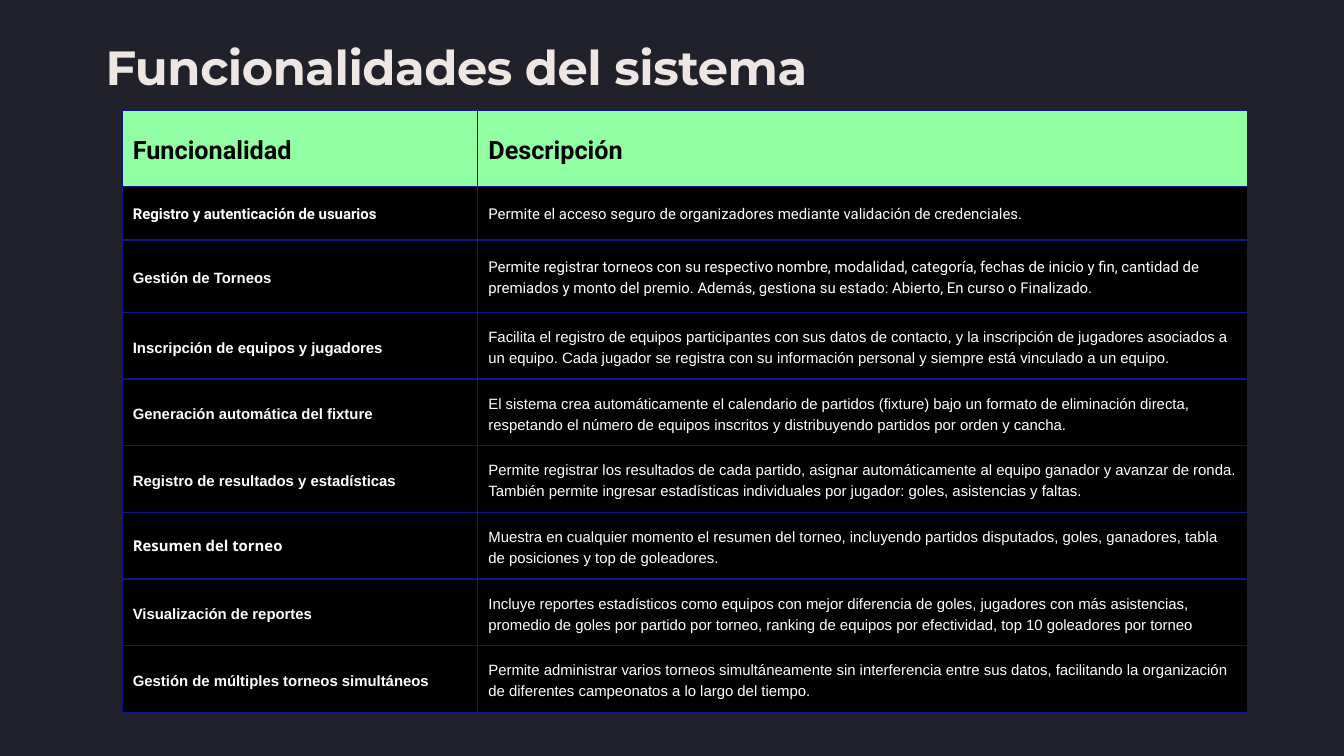
from pptx import Presentation
from pptx import util as u
from pptx.dml.color import RGBColor
from pptx.enum import text
from pptx.oxml import parse_xml
from pptx.oxml.ns import nsdecls

THEME = {
    "back": "20212A", "title": "EDE6E2", "line": "0E1789",
    "head": "93FFA5", "body": "000000", "dark": "000000", "light": "FFFFFF",
    "title_pt": 51.4, "head_pt": 27, "body_pt": 16, "line_pt": 1.5,
}
ROWS = [
    # name, name font, description, description font
    ("Funcionalidad", "Roboto", "Descripción", "Roboto"),
    ("Registro y autenticación de usuarios", "Roboto",
     "Permite el acceso seguro de organizadores mediante validación de credenciales.", "Roboto"),
    ("Gestión de Torneos", "Arial",
     "Permite registrar torneos con su respectivo nombre, modalidad, categoría, fechas de inicio y fin, "
     "cantidad de premiados y monto del premio. Además, gestiona su estado: Abierto, En curso o Finalizado.",
     "Roboto"),
    ("Inscripción de equipos y jugadores", "Arial",
     "Facilita el registro de equipos participantes con sus datos de contacto, y la inscripción de jugadores "
     "asociados a un equipo. Cada jugador se registra con su información personal y siempre está vinculado "
     "a un equipo.", "Arial"),
    ("Generación automática del fixture", "Arial",
     "El sistema crea automáticamente el calendario de partidos (fixture) bajo un formato de eliminación "
     "directa, respetando el número de equipos inscritos y distribuyendo partidos por orden y cancha.", "Arial"),
    ("Registro de resultados y estadísticas", "Arial",
     "Permite registrar los resultados de cada partido, asignar automáticamente al equipo ganador y avanzar "
     "de ronda. También permite ingresar estadísticas individuales por jugador: goles, asistencias y faltas.",
     "Arial"),
    ("Resumen del torneo", "Open Sans",
     "Muestra en cualquier momento el resumen del torneo, incluyendo partidos disputados, goles, ganadores, "
     "tabla de posiciones y top de goleadores.", "Arial"),
    ("Visualización de reportes", "Arial",
     "Incluye reportes estadísticos como equipos con mejor diferencia de goles, jugadores con más asistencias, "
     "promedio de goles por partido por torneo, ranking de equipos por efectividad, top 10 goleadores por torneo",
     "Arial"),
    ("Gestión de múltiples torneos simultáneos", "Arial",
     "Permite administrar varios torneos simultáneamente sin interferencia entre sus datos, facilitando la "
     "organización de diferentes campeonatos a lo largo del tiempo.", "Arial"),
]
WIDTHS = [13.44, 29.08]
HEIGHTS = [2.87, 2.03, 2.74] + [2.52] * 6


def write(frame, words, face, size, color, bold, lead):
    """Put one formatted run in the first paragraph of a frame."""
    para = frame.paragraphs[0]
    para.line_spacing = u.Pt(lead)
    run = para.add_run()
    run.text = words
    for key, value in {"name": face, "size": u.Pt(size), "bold": bold}.items():
        setattr(run.font, key, value)
    run.font.color.rgb = RGBColor.from_string(color)
    return run


def paint(cell, color):
    """Give a cell its four borders, then its fill."""
    props = cell._tc.get_or_add_tcPr()
    for side in ("lnL", "lnR", "lnT", "lnB"):
        props.append(parse_xml(
            f'<a:{side} {nsdecls("a")} w="{u.Pt(THEME["line_pt"])}"><a:solidFill>'
            f'<a:srgbClr val="{THEME["line"]}"/></a:solidFill></a:{side}>'))
    cell.fill.solid()
    cell.fill.fore_color.rgb = RGBColor.from_string(color)


# Slide
deck = Presentation()
deck.slide_width, deck.slide_height = u.Cm(50.8), u.Cm(28.58)
slide = deck.slides.add_slide(deck.slide_layouts[6])
slide.background.fill.solid()
slide.background.fill.fore_color.rgb = RGBColor.from_string(THEME["back"])

# Title
box = slide.shapes.add_textbox(u.Cm(3.99), u.Cm(1.78), u.Cm(31.17), u.Cm(1.93))
frame = box.text_frame
form = {"word_wrap": True, "auto_size": text.MSO_AUTO_SIZE.SHAPE_TO_FIT_TEXT,
        "margin_left": 0, "margin_right": 0, "margin_top": 0, "margin_bottom": 0}
for key, value in form.items():
    setattr(frame, key, value)
run = write(frame, "Funcionalidades del sistema", "Montserrat",
            THEME["title_pt"], THEME["title"], True, THEME["title_pt"])
run._r.get_or_add_rPr().set("spc", "-50")

# Table grid
table = slide.shapes.add_table(len(ROWS), len(WIDTHS), u.Cm(4.62), u.Cm(4.17),
                               u.Cm(sum(WIDTHS)), u.Cm(sum(HEIGHTS))).table
table.first_row = table.horz_banding = False
for col, width in zip(table.columns, WIDTHS):
    col.width = u.Cm(width)
for row, height in zip(table.rows, HEIGHTS):
    row.height = u.Cm(height)

# Table cells
pad = u.Cm(0.4)
form = {"vertical_anchor": text.MSO_ANCHOR.MIDDLE, "margin_left": pad,
        "margin_right": pad, "margin_top": pad, "margin_bottom": pad}
for r, (name, face, about, font) in enumerate(ROWS):
    head = r == 0
    size = THEME["head_pt" if head else "body_pt"]
    color = THEME["dark" if head else "light"]
    for c, (words, kind) in enumerate([(name, face), (about, font)]):
        cell = table.cell(r, c)
        for key, value in form.items():
            setattr(cell, key, value)
        paint(cell, THEME["head" if head else "body"])
        write(cell.text_frame, words, kind, size, color, head or c == 0, round(size * 1.4, 1))

deck.save("out.pptx")
